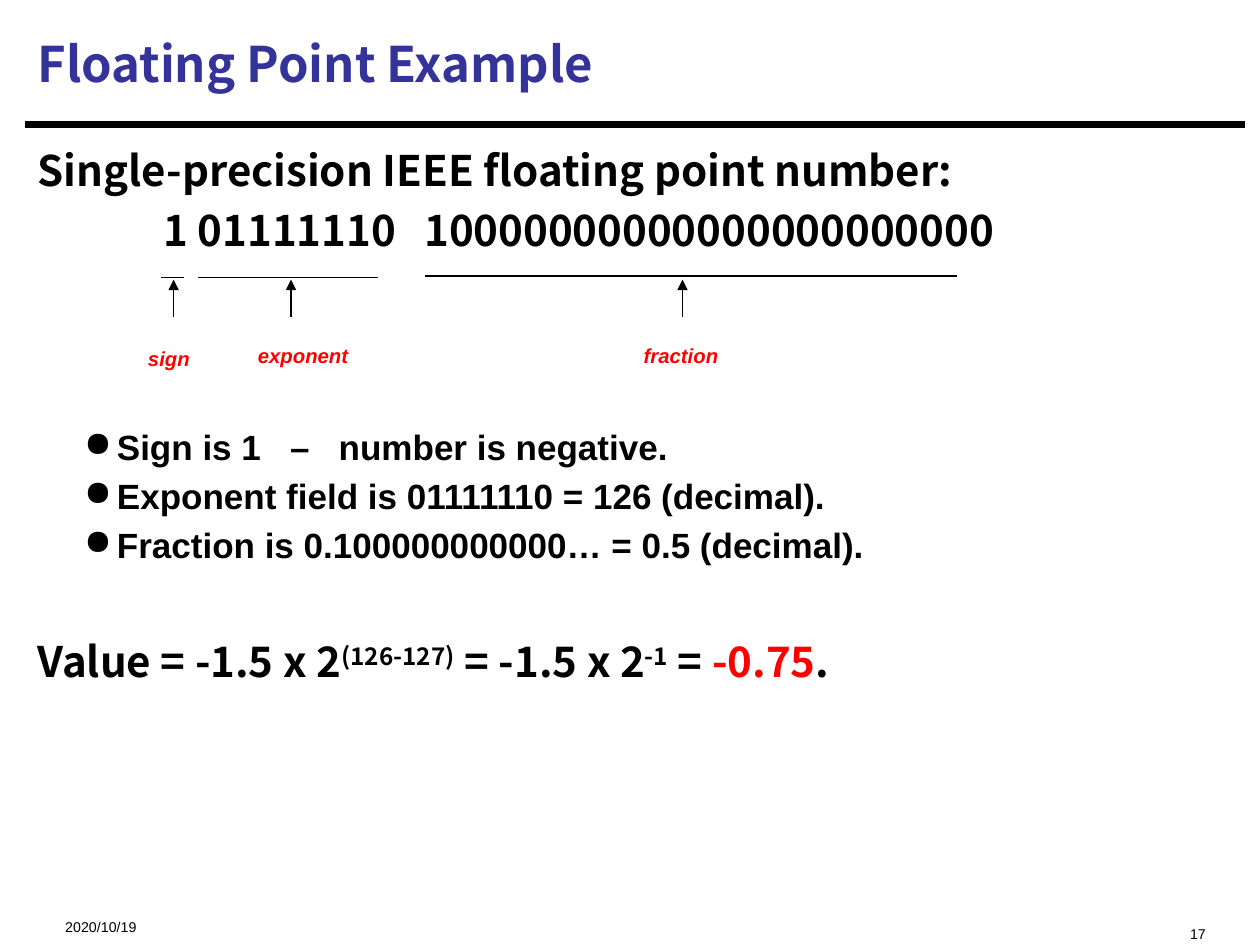
from lxml import etree
from pptx import Presentation
from pptx.dml.color import RGBColor
from pptx.enum.shapes import MSO_CONNECTOR
from pptx.enum.text import MSO_ANCHOR, MSO_AUTO_SIZE, PP_ALIGN
from pptx.oxml.ns import qn
from pptx.util import Pt

STRAIGHT = MSO_CONNECTOR.STRAIGHT
TOP, MIDDLE = MSO_ANCHOR.TOP, MSO_ANCHOR.MIDDLE
LEFT, CENTER, RIGHT = PP_ALIGN.LEFT, PP_ALIGN.CENTER, PP_ALIGN.RIGHT
FIT_SHAPE = MSO_AUTO_SIZE.SHAPE_TO_FIT_TEXT

HEADING_FONT, PLAIN_FONT = "Noto Sans CJK SC", "Arial"
BLACK, RED, BLUE = "000000", "FF0000", "333399"
SUPERSCRIPT, SUBSCRIPT = 30, -33

# label, underline left and right, underline y, arrow x, label box
FIELDS = [
    ("sign", 92, 105, 158.4, 99.2, (68.4, 179.3, 56.2, 31.7)),
    ("exponent", 113, 216, 158.4, 166.3, (121, 177.8, 104.4, 31.7)),
    ("fraction", 242.6, 547, 157.7, 390, (344.9, 177.8, 88.6, 31.7)),
]
FACTS = [
    "Sign is 1   –   number is negative.",
    "Exponent field is 01111110 = 126 (decimal).",
    "Fraction is 0.100000000000… = 0.5 (decimal).",
]
VALUE_PARTS = [
    ("Value = -1.5 x 2", {}),
    ("(126-127)", {"baseline": SUPERSCRIPT}),
    (" = -1.5 x 2", {}),
    ("-1", {"baseline": SUPERSCRIPT}),
    (" = ", {}),
    ("-0.75", {"color": RED}),
    (".", {}),
]


def rgb(color):
    return RGBColor.from_string(color)


def add_text(para, text, size=24, font=HEADING_FONT, color=BLACK,
             bold=True, italic=False, baseline=0):
    """Append a formatted span; baseline is a percentage of the size."""
    span = para.add_run()
    span.text = text
    span.font.size = Pt(size)
    span.font.name = font
    span.font.bold = bold
    span.font.italic = italic
    span.font.color.rgb = rgb(color)
    properties = span.font._element
    if baseline:
        properties.set("baseline", str(baseline * 1000))
    east_asian = etree.SubElement(properties, qn("a:ea"))
    east_asian.set("typeface", font)


def add_box(page, left, top, width, height, anchor=TOP, wrap=True):
    box = page.shapes.add_textbox(Pt(left), Pt(top), Pt(width), Pt(height))
    frame = box.text_frame
    frame.word_wrap = wrap
    frame.vertical_anchor = anchor
    return frame


def add_label(page, area, text, align=LEFT, anchor=TOP, wrap=True, **style):
    frame = add_box(page, *area, anchor=anchor, wrap=wrap)
    if not wrap:
        frame.auto_size = FIT_SHAPE
    para = frame.paragraphs[0]
    para.alignment = align
    add_text(para, text, **style)


def add_line(page, start, end, width=0.75, arrow=False):
    line = page.shapes.add_connector(STRAIGHT, *map(Pt, start + end))
    line.line.color.rgb = rgb(BLACK)
    line.line.width = Pt(width)
    if arrow:
        tail = etree.SubElement(line.line._get_or_add_ln(), qn("a:tailEnd"))
        tail.set("type", "triangle")
    etree.SubElement(line._element.spPr, qn("a:effectLst"))


def add_paragraph(frame, before, height):
    para = frame.add_paragraph()
    para.space_before = Pt(before)
    para.line_spacing = Pt(height)
    return para


def set_tabs(para, *stops):
    tabs = etree.SubElement(para._p.get_or_add_pPr(), qn("a:tabLst"))
    for stop in stops:
        etree.SubElement(tabs, qn("a:tab"), pos=str(Pt(stop)), algn="l")


def set_bullet(para):
    properties = para._p.get_or_add_pPr()
    properties.set("lvl", "1")
    properties.set("marL", str(Pt(45.36)))
    properties.set("indent", str(Pt(-18.72)))
    etree.SubElement(properties, qn("a:buChar"), char="●")


def add_body(page):
    frame = add_box(page, 14.4, 77, 696.2, 431.3)
    heading = frame.paragraphs[0]
    heading.line_spacing = Pt(31)
    add_text(heading, "Single-precision IEEE floating point number:")

    bits = add_paragraph(frame, 3.3, 31)
    set_tabs(bits, 72, 221)
    add_text(bits, "\t1 01111110\t10000000000000000000000")

    for index, fact in enumerate(FACTS):
        para = add_paragraph(frame, 4 if index else 97.3, 24)
        set_bullet(para)
        add_text(para, fact, size=20, font=PLAIN_FONT)

    value = add_paragraph(frame, 37.9, 31)
    for text, style in VALUE_PARTS:
        add_text(value, text, **style)


def add_field(page, label, left, right, y, arrow_x, area):
    """Underline one bit field and point to it from its label."""
    add_line(page, (left, y), (right, y))
    add_line(page, (arrow_x, 181.4), (arrow_x, 159.8), arrow=True)
    add_label(page, area, label, align=CENTER, wrap=False, size=20,
              font=PLAIN_FONT, color=RED, italic=True, baseline=SUBSCRIPT)


def main():
    deck = Presentation()
    deck.slide_width, deck.slide_height = Pt(720), Pt(540)
    page = deck.slides.add_slide(deck.slide_layouts[6])

    add_line(page, (14.4, 71.3), (711.4, 71.3), width=3.75)
    footer = {"size": 14, "font": PLAIN_FONT, "bold": False,
              "baseline": SUBSCRIPT}
    add_label(page, (30.2, 514.8, 180, 19.4), "2020/10/19",
              anchor=MIDDLE, **footer)
    add_label(page, (480.2, 514.8, 216, 19.4), "17", align=RIGHT, **footer)
    add_label(page, (14.4, 5.8, 696.2, 60.5), "Floating Point Example",
              anchor=MIDDLE, size=28, color=BLUE)
    add_body(page)
    for field in FIELDS:
        add_field(page, *field)

    deck.save("out.pptx")


if __name__ == "__main__":
    main()
